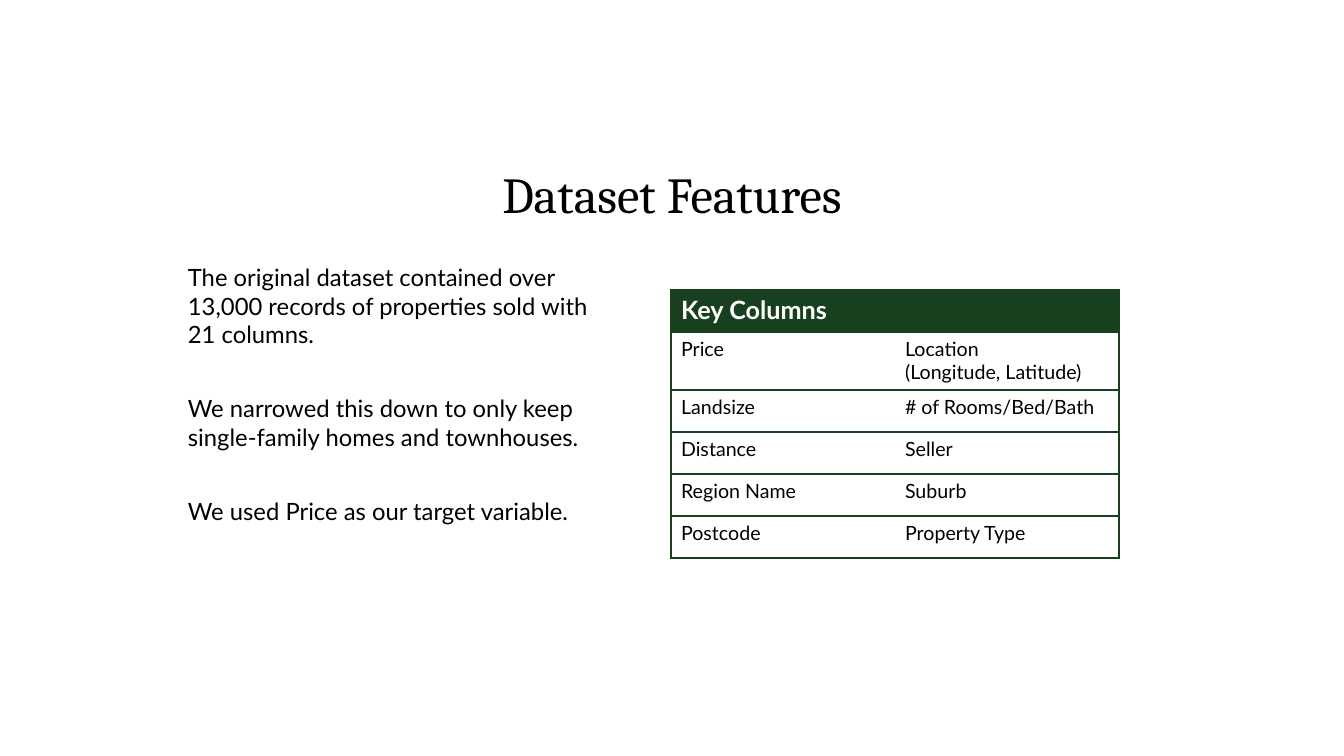
from lxml import etree
from pptx import Presentation, util as u
from pptx.dml.color import RGBColor
from pptx.enum import text
from pptx.oxml import ns

PX = 914400 / 100.8
COLORS = {"green": "183F1E", "black": "000000", "white": "FFFFFF"}


def px(*lengths):
    return [u.Emu(round(length * PX)) for length in lengths]


def style_text(frame, font_name, size, color, bold=False):
    for paragraph in frame.paragraphs:
        for run in paragraph.runs:
            run.font.name = font_name
            run.font.size = u.Pt(size)
            run.font.bold = bold
            run.font.color.rgb = RGBColor.from_string(COLORS[color])


presentation = Presentation()
presentation.slide_width, presentation.slide_height = px(1344, 756)
slide = presentation.slides.add_slide(presentation.slide_layouts[5])

# Title
title = slide.shapes.title
title.left, title.top, title.width, title.height = px(178, 110, 988, 119)
title.text_frame.text = "Dataset Features"
title.text_frame.word_wrap = True
title.text_frame.vertical_anchor = text.MSO_ANCHOR.BOTTOM
title.text_frame.paragraphs[0].alignment = text.PP_ALIGN.CENTER
title.text_frame.paragraphs[0].line_spacing = 0.9
style_text(title.text_frame, "Cambria", 36, "black")

# Dataset description
description = slide.shapes.add_textbox(*px(178, 258, 427, 373)).text_frame
description.word_wrap = True
description.text = "\n".join([
    "The original dataset contained over 13,000 records of properties sold with 21 columns.",
    "We narrowed this down to only keep single-family homes and townhouses.",
    "We used Price as our target variable.",
])
for paragraph in description.paragraphs:
    paragraph.space_after = u.Pt(32.4)
style_text(description, "Lato", 17, "black")

# Key columns table
rows = [
    ("Key Columns", ""),
    ("Price", "Location\v(Longitude, Latitude)"),
    ("Landsize", "# of Rooms/Bed/Bath"),
    ("Distance", "Seller"),
    ("Region Name", "Suburb"),
    ("Postcode", "Property Type"),
]
row_heights = [42, 58, 42, 42, 42, 42]
table = slide.shapes.add_table(
    len(rows), 2, *px(671, 290, 448, sum(row_heights))).table
table.horz_banding = False
for row, height in zip(table.rows, px(*row_heights)):
    row.height = height
for column in table.columns:
    column.width = px(224)[0]
table.cell(0, 0).merge(table.cell(0, 1))

for row_index, labels in enumerate(rows):
    header = row_index == 0
    for column_index, label in enumerate(labels):
        cell = table.cell(row_index, column_index)
        if label:
            cell.text_frame.text = label
        style_text(cell.text_frame, "Lato", 18 if header else 14,
                   "white" if header else "black", header)
        cell.fill.solid()
        cell.fill.fore_color.rgb = RGBColor.from_string(
            COLORS["green" if header else "white"])

        # Green outer frame and row lines, no line between the columns
        inner_side = "lnR" if column_index == 0 else "lnL"
        properties = cell._tc.get_or_add_tcPr()
        for position, side in enumerate(["lnL", "lnR", "lnT", "lnB"]):
            line = etree.Element(ns.qn("a:" + side), w=str(u.Pt(1)))
            if side == inner_side and not header:
                etree.SubElement(line, ns.qn("a:noFill"))
            else:
                fill = etree.SubElement(line, ns.qn("a:solidFill"))
                etree.SubElement(fill, ns.qn("a:srgbClr"), val=COLORS["green"])
            properties.insert(position, line)

presentation.save("out.pptx")
